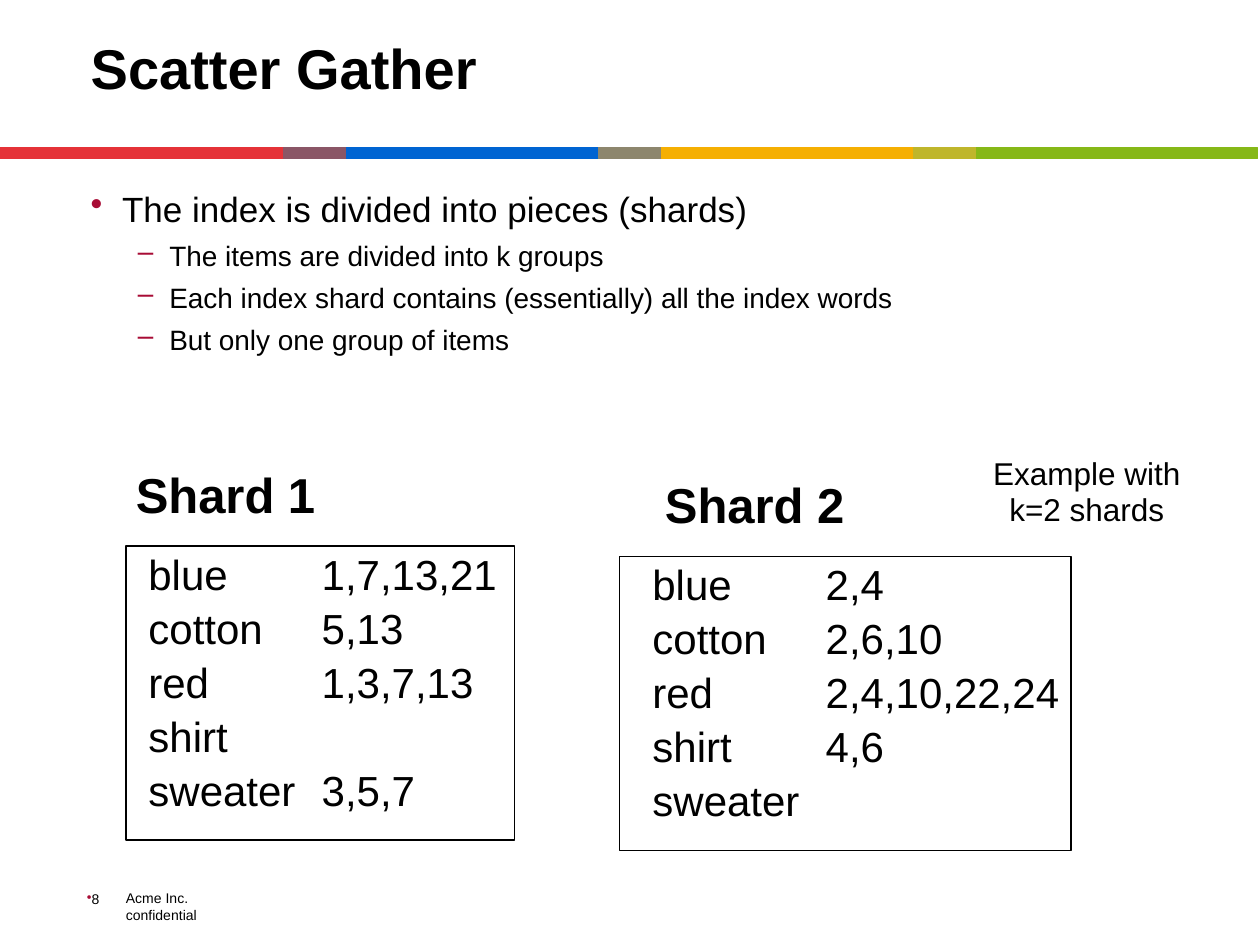
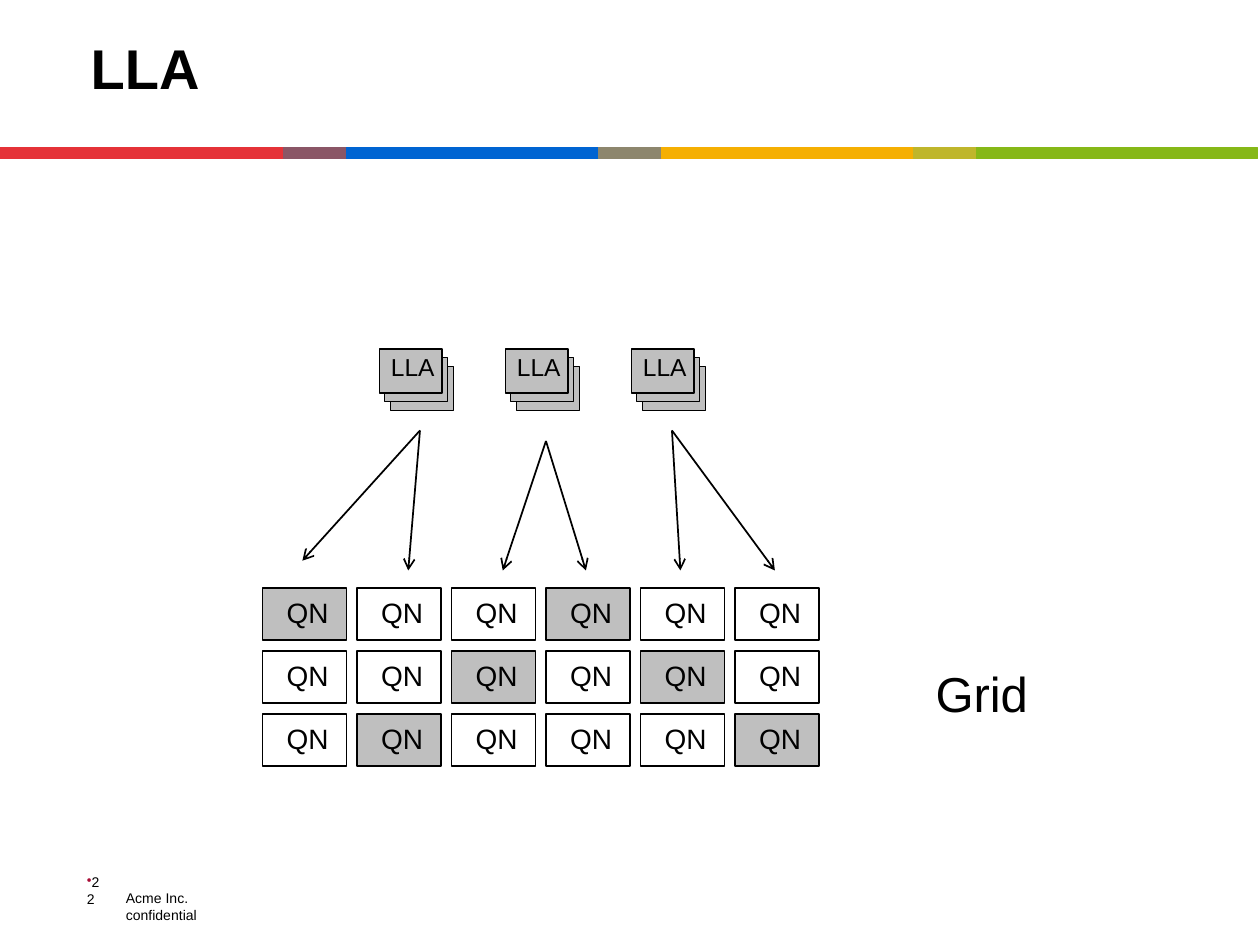
from lxml.etree import SubElement
from pptx import Presentation
from pptx.dml.color import RGBColor
from pptx.enum.shapes import MSO_CONNECTOR, MSO_SHAPE
from pptx.enum.text import MSO_ANCHOR as Anchor, MSO_AUTO_SIZE, PP_ALIGN as Align
from pptx.oxml.ns import qn
from pptx.util import Pt

BLACK = RGBColor(0x00, 0x00, 0x00)
GREY = RGBColor(0xBF, 0xBF, 0xBF)
BULLET_RED = RGBColor(0xA8, 0x0C, 0x35)
BAND = [  # left edge and colour of each segment
    (0, RGBColor(0xE5, 0x32, 0x38)),
    (162, RGBColor(0x8A, 0x56, 0x66)),
    (198, RGBColor(0x00, 0x64, 0xD2)),
    (342, RGBColor(0x8D, 0x86, 0x6D)),
    (378, RGBColor(0xF5, 0xAF, 0x02)),
    (522, RGBColor(0xBF, 0xB6, 0x2B)),
    (558, RGBColor(0x86, 0xB8, 0x17)),
]
BAND_END = 718.6
FONT = "Arial"
TITLE_ONLY = 5


class Deck:
    """Holds the shared style and the slide being filled."""

    def __init__(self):
        self.prs = Presentation()
        self.prs.slide_width, self.prs.slide_height = Pt(720), Pt(540)
        self.slide = None

    def new_slide(self, title, number):
        self.slide = self.prs.slides.add_slide(self.prs.slide_layouts[TITLE_ONLY])
        self.band()
        heading = self.slide.shapes.title
        heading.left, heading.top, heading.width, heading.height = map(
            Pt, (44.64, 8.64, 639.36, 56.88))
        frame = heading.text_frame
        frame.auto_size = MSO_AUTO_SIZE.NONE
        frame.vertical_anchor = Anchor.MIDDLE
        frame.text = title
        self.style(frame.paragraphs[0], 32, bold=True, spacing=1.07)
        # Footer
        self.text(64.8, 504.72, 85.68, 16.56, ["Acme Inc. confidential"], 8, spacing=1)
        self.text(42.48, 504, 25.2, 18, [number], 8, spacing=1,
                  anchor=Anchor.BOTTOM, bullet="•")

    def band(self):
        segments = self.slide.shapes.add_group_shape().shapes
        edges = [left for left, _ in BAND[1:]] + [BAND_END]
        for (left, color), right in zip(BAND, edges):
            self.box(left, 84.24, right - left, 6.48, color, color, 0.75, segments)

    def style(self, paragraph, size, bold=False, align=Align.LEFT, spacing=0.95,
              before=0, after=0, bullet=None, indent=(0, 0), tab=None):
        paragraph.alignment = align
        paragraph.line_spacing = spacing
        paragraph.space_before, paragraph.space_after = Pt(before), Pt(after)
        props = paragraph._p.get_or_add_pPr()
        if bullet:
            margin, hanging = indent
            props.set("marL", str(Pt(margin)))
            props.set("indent", str(Pt(hanging)))
            color = SubElement(props, qn("a:buClr"))
            SubElement(color, qn("a:srgbClr"), val=str(BULLET_RED))
            SubElement(props, qn("a:buChar"), char=bullet)
        if tab:
            tabs = SubElement(props, qn("a:tabLst"))
            SubElement(tabs, qn("a:tab"), pos=str(Pt(tab)), algn="l")
        font = paragraph.font
        font.name, font.size, font.bold = FONT, Pt(size), bold
        font.color.rgb = BLACK

    def text(self, left, top, width, height, lines, size, wrap=True,
             anchor=Anchor.TOP, **style):
        area = self.slide.shapes.add_textbox(*map(Pt, (left, top, width, height)))
        frame = area.text_frame
        frame.word_wrap = wrap
        frame.vertical_anchor = anchor
        frame.text = "\n".join(lines)
        for paragraph in frame.paragraphs:
            self.style(paragraph, size, **style)
        return frame

    def box(self, left, top, width, height, fill=None, line=BLACK, weight=1, shapes=None):
        shapes = shapes or self.slide.shapes
        box = shapes.add_shape(MSO_SHAPE.RECTANGLE, *map(Pt, (left, top, width, height)))
        box.shadow.inherit = False
        if fill is None:
            box.fill.background()
        else:
            box.fill.solid()
            box.fill.fore_color.rgb = fill
        box.line.color.rgb = line
        box.line.width = Pt(weight)
        return box

    def label(self, box, words, size, left_inset, bottom_inset=0):
        frame = box.text_frame
        frame.margin_left, frame.margin_bottom = Pt(left_inset), Pt(bottom_inset)
        frame.margin_right = frame.margin_top = 0
        frame.vertical_anchor = Anchor.MIDDLE
        frame.word_wrap = False
        frame.text = words
        self.style(frame.paragraphs[0], size, align=Align.CENTER)

    def arrow(self, start, end):
        arrow = self.slide.shapes.add_connector(
            MSO_CONNECTOR.STRAIGHT, *map(Pt, (*start, *end)))
        arrow.line.color.rgb = BLACK
        arrow.line.width = Pt(1)
        SubElement(arrow.line._get_or_add_ln(), qn("a:tailEnd"), type="arrow")
        SubElement(arrow._element.spPr, qn("a:effectLst"))

    def bullets(self, left, top, width, height, items):
        frame = self.text(left, top, width, height, [words for _, words in items], 16)
        for position, (paragraph, (level, _)) in enumerate(zip(frame.paragraphs, items)):
            size = (20, 16)[level]
            paragraph.level = level
            self.style(paragraph, size, spacing=1.05, after=size * 0.12,
                       before=size * 0.12 if position else 0,
                       bullet="•–"[level], indent=((18, -18), (45, -18))[level])


def scatter_gather(deck):
    deck.new_slide("Scatter Gather", "8")
    deck.bullets(44.64, 102.24, 639.36, 144, [
        (0, "The index is divided into pieces (shards)"),
        (1, "The items are divided into k groups"),
        (1, "Each index shard contains (essentially) all the index words"),
        (1, "But only one group of items"),
    ])

    # Shards: name and its place, frame, list left edge, postings
    shards = [
        ("Shard 1", (69.84, 264.24), (72, 312, 222), 77.76,
         ["blue\t1,7,13,21", "cotton\t5,13", "red\t1,3,7,13", "shirt", "sweater\t3,5,7"]),
        ("Shard 2", (372.24, 270), (354, 318, 258), 365.76,
         ["blue\t2,4", "cotton\t2,6,10", "red\t2,4,10,22,24", "shirt\t4,6", "sweater"]),
    ]
    for name, name_at, (left, top, width), list_left, postings in shards:
        deck.text(*name_at, 118.08, 39.6, [name], 28, wrap=False, bold=True,
                  align=Align.CENTER)
        deck.text(list_left, top, width, 157, postings, 24, after=3.5, tab=99)
        deck.box(left, top, width, 168)

    deck.text(558, 257.76, 126, 48.96, ["Example with k=2 shards"], 18, align=Align.CENTER)


def lla(deck):
    deck.new_slide("LLA", "22")

    # Grid of query nodes
    shaded = {(0, 0), (0, 3), (1, 2), (1, 4), (2, 1), (2, 5)}
    for row in range(3):
        for column in range(6):
            node = deck.box(150 + 54 * column, 336 + 36 * row, 48, 30,
                            GREY if (row, column) in shaded else None)
            deck.label(node, "QN", 16, left_inset=3.6)
    deck.text(510, 378, 102, 39.6, ["Grid"], 28, align=Align.CENTER)

    # Arrows from each aggregator to two nodes
    fans = [
        ((240, 246), [(172.8, 320.4), (233.3, 326)]),
        ((312, 252), [(287.3, 326), (334.8, 326)]),
        ((384, 246), [(388.8, 326), (442.8, 326)]),
    ]
    for start, ends in fans:
        for end in ends:
            deck.arrow(start, end)

    # Stacks of aggregators, back card first
    for stack in range(3):
        cards = deck.slide.shapes.add_group_shape().shapes
        for depth in (2, 1, 0):
            card = deck.box(216.7 + 72 * stack + 3.2 * depth, 199.4 + 5 * depth,
                            36, 25.2, GREY, weight=0.75, shapes=cards)
        deck.label(card, "LLA", 14, left_inset=2.4, bottom_inset=3.6)


def main():
    deck = Deck()
    scatter_gather(deck)
    lla(deck)
    deck.prs.save("out.pptx")


if __name__ == "__main__":
    main()
